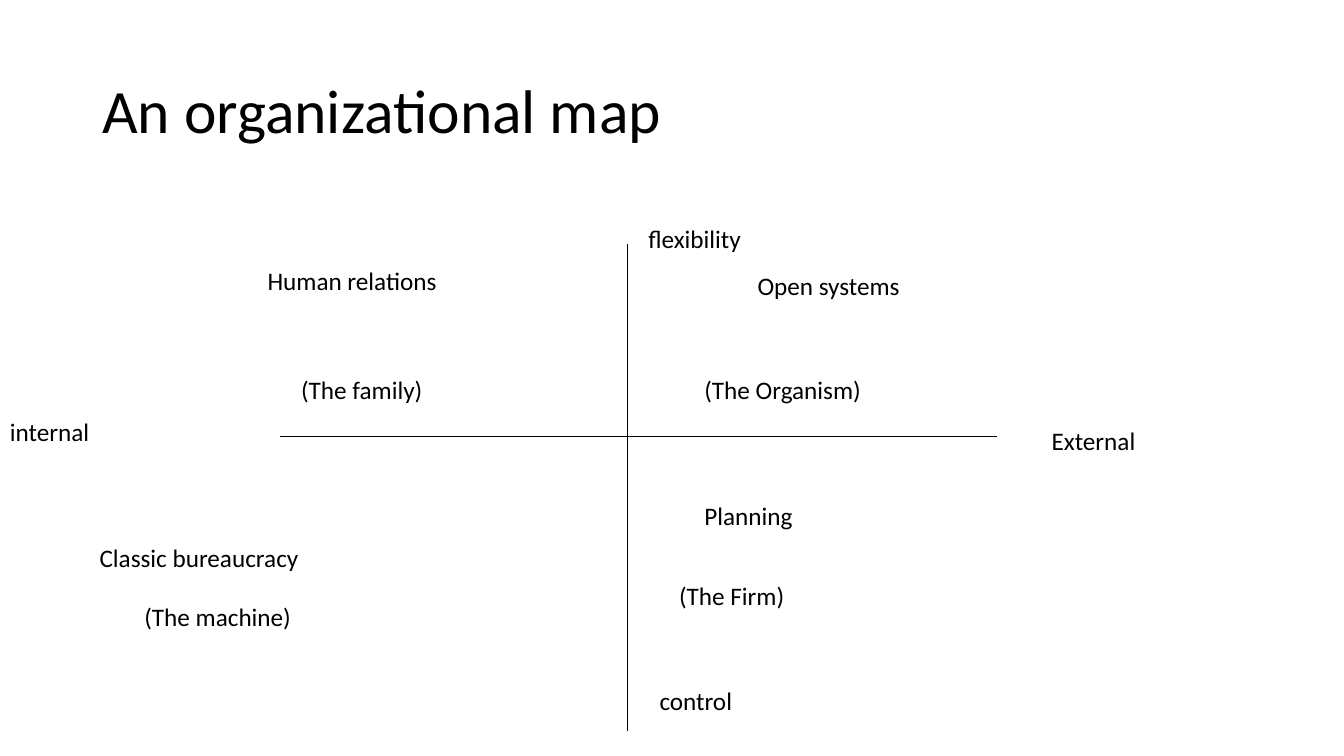
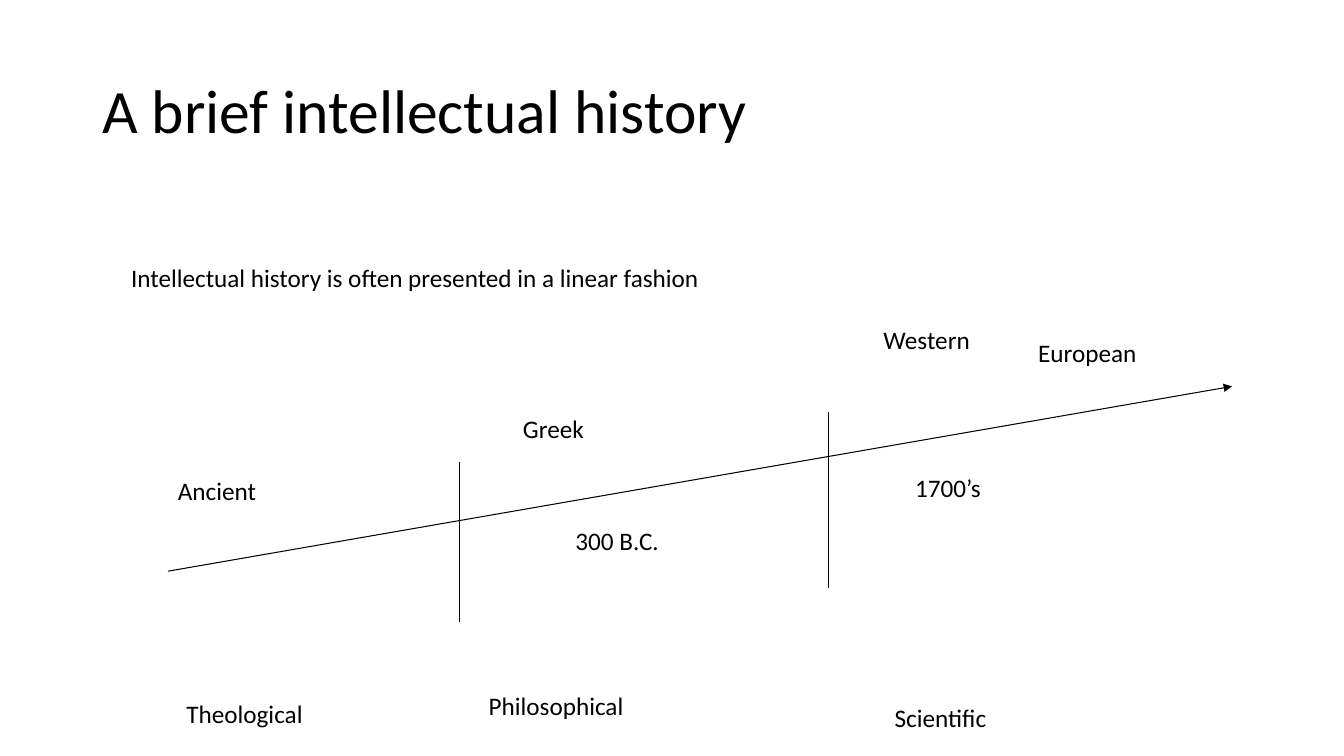
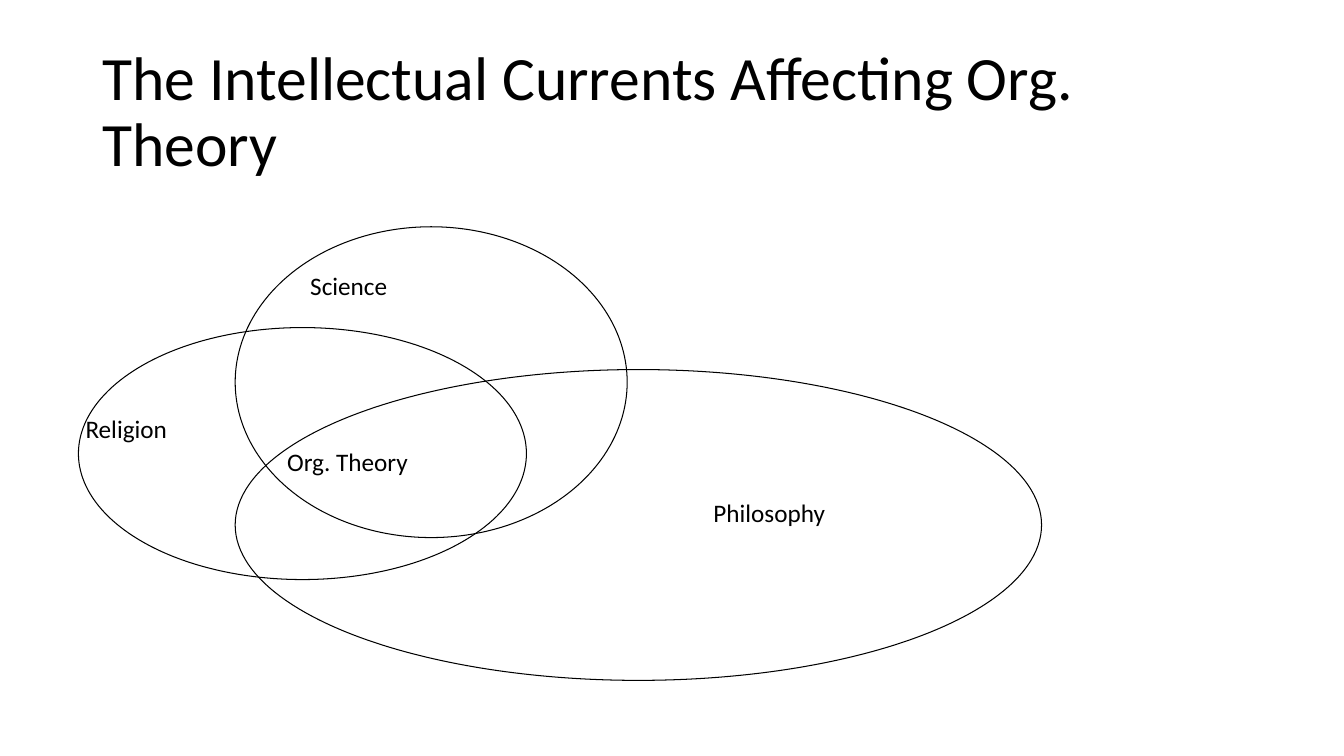
from pptx import Presentation
from pptx.dml.color import RGBColor
from pptx.enum.shapes import MSO_CONNECTOR, MSO_SHAPE
from pptx.enum.text import MSO_ANCHOR, MSO_AUTO_SIZE, PP_ALIGN
from pptx.oxml.ns import qn
from pptx.util import Pt
from lxml import etree

STRAIGHT = MSO_CONNECTOR.STRAIGHT
OVAL = MSO_SHAPE.OVAL
MIDDLE, TOP = MSO_ANCHOR.MIDDLE, MSO_ANCHOR.TOP
GROW, FIXED = MSO_AUTO_SIZE.SHAPE_TO_FIT_TEXT, MSO_AUTO_SIZE.NONE
LEFT = PP_ALIGN.LEFT

COLOURS = {"ink": "000000", "paper": "FFFFFF"}
FONT = "Calibri"
LINE_WIDTH = 0.75
LABEL_HEIGHT = 29
TITLE_AREA = (66, 29, 828, 104.5)


def colour(name):
    return RGBColor.from_string(COLOURS[name])


def apply(target, **values):
    for name, value in values.items():
        setattr(target, name, value)


class Deck:
    """Holds the shared style and the page being drawn."""

    def __init__(self):
        self.deck = Presentation()
        apply(self.deck, slide_width=Pt(960), slide_height=Pt(540))
        self.page = None

    def add_page(self, title):
        self.page = self.deck.slides.add_slide(self.deck.slide_layouts[6])
        background = self.page.background.fill
        background.solid()
        background.fore_color.rgb = colour("paper")
        self.text(title, *TITLE_AREA, size=44, spacing=0.9,
                  vertical_anchor=MIDDLE, auto_size=FIXED)

    def text(self, words, left, top, width, height, size=18, spacing=1.0, **frame_format):
        box = self.page.shapes.add_textbox(Pt(left), Pt(top), Pt(width), Pt(height))
        frame = box.text_frame
        settings = {"word_wrap": True, "auto_size": GROW, "vertical_anchor": TOP}
        apply(frame, **{**settings, **frame_format})
        para = frame.paragraphs[0]
        apply(para, alignment=LEFT, line_spacing=spacing)
        span = para.add_run()
        span.text = words
        apply(span.font, name=FONT, size=Pt(size))
        span.font.color.rgb = colour("ink")

    def wrapped_labels(self, labels):
        """Labels in boxes that are wider than their words."""
        for words, left, top, width in labels:
            self.text(words, left, top, width, LABEL_HEIGHT)

    def tight_labels(self, labels):
        """One-line labels in boxes that hug their words."""
        for words, left, top, width in labels:
            self.text(words, left, top, width, LABEL_HEIGHT, word_wrap=False)

    def outline(self, shape):
        shape.line.color.rgb = colour("ink")
        shape.line.width = Pt(LINE_WIDTH)

    def line(self, x1, y1, x2, y2, arrow=False):
        connector = self.page.shapes.add_connector(
            STRAIGHT, Pt(x1), Pt(y1), Pt(x2), Pt(y2))
        self.outline(connector)
        if arrow:
            etree.SubElement(connector.line._get_or_add_ln(), qn("a:tailEnd"), type="triangle")
        etree.SubElement(connector._element.spPr, qn("a:effectLst"))

    def ellipse(self, left, top, width, height):
        oval = self.page.shapes.add_shape(OVAL, Pt(left), Pt(top), Pt(width), Pt(height))
        oval.shadow.inherit = False
        oval.fill.background()
        self.outline(oval)

    def save(self):
        self.deck.save("out.pptx")


def organizational_map(deck):
    deck.add_page("An organizational map")
    deck.line(448, 174, 448, 522)
    deck.line(200, 312, 712, 312)
    deck.wrapped_labels([
        ("flexibility", 456, 156, 312),
        ("control", 464, 486, 120),
        ("internal", 0, 294, 192),
        ("External", 744, 300, 192),
        ("Classic bureaucracy", 64, 384, 336),
        ("(The machine)", 96, 426, 328),
        ("Human relations", 184, 186, 248),
        ("(The Organism)", 496, 264, 256),
        ("Planning", 496, 354, 232),
    ])
    deck.tight_labels([
        ("(The family)", 208, 264, 102),
        ("Open systems", 534, 189.5, 117.5),
        ("(The Firm)", 478, 411, 91),
    ])


def intellectual_history(deck):
    deck.add_page("A brief intellectual history")
    deck.line(120, 408, 880, 276, arrow=True)
    deck.line(328, 330, 328, 444)
    deck.line(592, 294, 592, 420)
    deck.tight_labels([
        ("Intellectual history is often presented in a linear fashion", 86.5, 183.5, 425.5),
        ("Ancient", 120, 336, 71.5),
        ("Greek", 366.5, 291.5, 58.5),
        ("300 B.C.", 404, 371.5, 75),
        ("European", 734.5, 237.5, 85.5),
        ("1700’s", 646.5, 333.5, 62),
        ("Theological", 126, 495.5, 98.5),
        ("Philosophical", 342, 489.5, 111.5),
    ])
    deck.wrapped_labels([
        ("Western", 624, 228, 212.5),
        ("Scientific", 632, 498, 216),
    ])


def intellectual_currents(deck):
    deck.add_page("The Intellectual Currents Affecting Org. Theory")
    deck.ellipse(56, 234, 320, 180)
    deck.ellipse(168, 264, 576, 222)
    deck.ellipse(168, 162, 280, 222)
    deck.wrapped_labels([("Religion", 54, 291.5, 234)])
    deck.tight_labels([
        ("Philosophy", 502.5, 351.5, 95),
        ("Science", 214.5, 189.5, 70.5),
        ("Org. Theory", 198, 315.5, 101.5),
    ])


def main():
    deck = Deck()
    organizational_map(deck)
    intellectual_history(deck)
    intellectual_currents(deck)
    deck.save()


if __name__ == "__main__":
    main()
